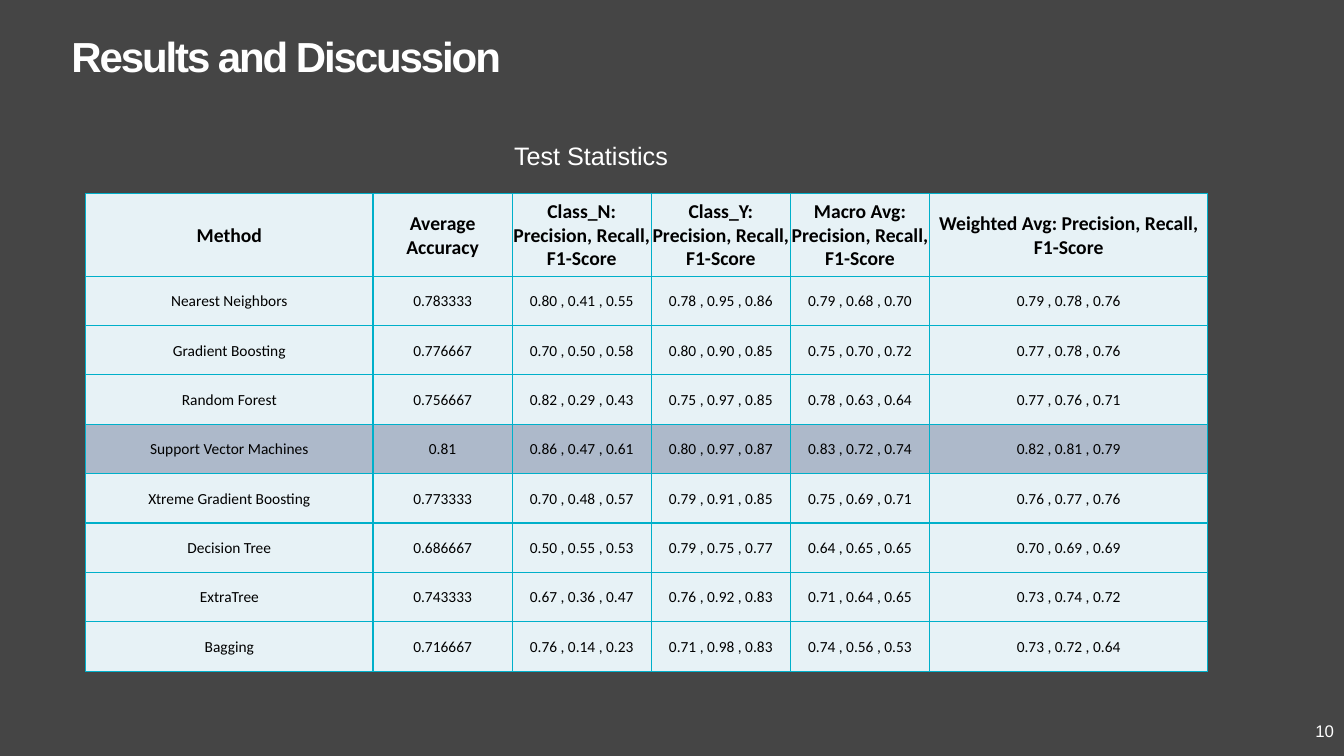
import dataclasses

import pptx
import pptx.dml.color
import pptx.enum.text
import pptx.oxml
import pptx.oxml.ns
import pptx.slide
import pptx.table
import pptx.text.text
import pptx.util

RGBColor = pptx.dml.color.RGBColor
PP_ALIGN = pptx.enum.text.PP_ALIGN
MSO_ANCHOR = pptx.enum.text.MSO_ANCHOR

PX = 9144  # EMU per px, 100 px to the inch
BACKGROUND = RGBColor(0x45, 0x45, 0x45)
WHITE = RGBColor(0xFF, 0xFF, 0xFF)
BLACK = RGBColor(0x00, 0x00, 0x00)
BORDER = RGBColor(0x00, 0xB0, 0xCA)
CELL = RGBColor(0xE7, 0xF2, 0xF6)
HIGHLIGHT = RGBColor(0xAD, 0xB9, 0xCA)

BEST_METHOD = "Support Vector Machines"
COLUMN_WIDTHS = (285, 138, 138, 138, 138, 276)
HEADER_HEIGHT, ROW_HEIGHT = 82, 49
HEADERS = (
    "Method",
    "Average Accuracy",
    "Class_N: Precision, Recall, F1-Score",
    "Class_Y: Precision, Recall, F1-Score",
    "Macro Avg: Precision, Recall, F1-Score",
    "Weighted Avg: Precision, Recall, F1-Score",
)


@dataclasses.dataclass(frozen=True)
class Label:
    text: str
    left: int
    top: int
    width: int
    height: int
    size: int
    bold: bool = False
    spacing: int = 0  # hundredths of a point
    wrap: bool = True
    align: PP_ALIGN = PP_ALIGN.LEFT
    anchor: MSO_ANCHOR = MSO_ANCHOR.TOP


@dataclasses.dataclass(frozen=True)
class Result:
    method: str
    accuracy: str
    class_n: str
    class_y: str
    macro: str
    weighted: str


LABELS = (
    Label("Results and Discussion", 61, 25, 1217, 125, 30, bold=True, spacing=-150),
    Label("10", 1033, 705, 300, 40, 12, align=PP_ALIGN.RIGHT, anchor=MSO_ANCHOR.MIDDLE),
    Label("Test Statistics", 500, 134, 174, 40, 18, wrap=False),
)

RESULTS = (
    Result("Nearest Neighbors", "0.783333", "0.80 , 0.41 , 0.55",
           "0.78 , 0.95 , 0.86", "0.79 , 0.68 , 0.70", "0.79 , 0.78 , 0.76"),
    Result("Gradient Boosting", "0.776667", "0.70 , 0.50 , 0.58",
           "0.80 , 0.90 , 0.85", "0.75 , 0.70 , 0.72", "0.77 , 0.78 , 0.76"),
    Result("Random Forest", "0.756667", "0.82 , 0.29 , 0.43",
           "0.75 , 0.97 , 0.85", "0.78 , 0.63 , 0.64", "0.77 , 0.76 , 0.71"),
    Result(BEST_METHOD, "0.81", "0.86 , 0.47 , 0.61",
           "0.80 , 0.97 , 0.87", "0.83 , 0.72 , 0.74", "0.82 , 0.81 , 0.79"),
    Result("Xtreme Gradient Boosting", "0.773333", "0.70 , 0.48 , 0.57",
           "0.79 , 0.91 , 0.85", "0.75 , 0.69 , 0.71", "0.76 , 0.77 , 0.76"),
    Result("Decision Tree", "0.686667", "0.50 , 0.55 , 0.53",
           "0.79 , 0.75 , 0.77", "0.64 , 0.65 , 0.65", "0.70 , 0.69 , 0.69"),
    Result("ExtraTree", "0.743333", "0.67 , 0.36 , 0.47",
           "0.76 , 0.92 , 0.83", "0.71 , 0.64 , 0.65", "0.73 , 0.74 , 0.72"),
    Result("Bagging", "0.716667", "0.76 , 0.14 , 0.23",
           "0.71 , 0.98 , 0.83", "0.74 , 0.56 , 0.53", "0.73 , 0.72 , 0.64"),
)


def format_paragraph(p: pptx.text.text._Paragraph, align: PP_ALIGN, font: str,
                     size: int, color: RGBColor, bold: bool) -> None:
    p.alignment = align
    for r in p.runs:
        r.font.name = font
        r.font.size = pptx.util.Pt(size)
        r.font.color.rgb = color
        r.font.bold = bold


def add_label(s: pptx.slide.Slide, label: Label) -> None:
    sp = s.shapes.add_textbox(label.left * PX, label.top * PX,
                              label.width * PX, label.height * PX)
    tf = sp.text_frame
    tf.word_wrap = label.wrap
    tf.vertical_anchor = label.anchor
    tf.text = label.text
    p = tf.paragraphs[0]
    format_paragraph(p, label.align, "Arial", label.size, WHITE, label.bold)
    if label.spacing:
        p.runs[0].font._element.set("spc", str(label.spacing))


def add_borders(cell: pptx.table._Cell) -> None:
    """Line all four sides; must precede the fill, which follows lines in tcPr."""
    tc_pr = cell._tc.get_or_add_tcPr()
    for side in ("lnL", "lnR", "lnT", "lnB"):
        tc_pr.append(pptx.oxml.parse_xml(
            f'<a:{side} {pptx.oxml.ns.nsdecls("a")} w="{pptx.util.Pt(1)}">'
            f'<a:solidFill><a:srgbClr val="{BORDER}"/></a:solidFill></a:{side}>'))


def fill_cell(cell: pptx.table._Cell, text: str, size: int, bold: bool,
              color: RGBColor) -> None:
    add_borders(cell)
    cell.fill.solid()
    cell.fill.fore_color.rgb = color
    cell.margin_left = cell.margin_right = cell.margin_top = PX
    cell.margin_bottom = 0
    cell.vertical_anchor = MSO_ANCHOR.MIDDLE
    cell.text_frame.text = text
    format_paragraph(cell.text_frame.paragraphs[0], PP_ALIGN.CENTER, "Calibri",
                     size, BLACK, bold)


def add_results_table(s: pptx.slide.Slide, left: int, top: int) -> None:
    rows = [HEADERS, *map(dataclasses.astuple, RESULTS)]
    height = HEADER_HEIGHT + ROW_HEIGHT * len(RESULTS)
    table = s.shapes.add_table(len(rows), len(HEADERS), left * PX, top * PX,
                               sum(COLUMN_WIDTHS) * PX, height * PX).table
    table.first_row = table.horz_banding = False
    for column, width in zip(table.columns, COLUMN_WIDTHS):
        column.width = width * PX
    for i, values in enumerate(rows):
        header = i == 0
        table.rows[i].height = (HEADER_HEIGHT if header else ROW_HEIGHT) * PX
        color = HIGHLIGHT if values[0] == BEST_METHOD else CELL
        for j, text in enumerate(values):
            fill_cell(table.cell(i, j), text, 14 if header else 11, header, color)


def main() -> None:
    prs = pptx.Presentation()
    prs.slide_width, prs.slide_height = 1333 * PX, 750 * PX
    s = prs.slides.add_slide(prs.slide_layouts[6])
    s.background.fill.solid()
    s.background.fill.fore_color.rgb = BACKGROUND
    add_results_table(s, 85, 192)
    for label in LABELS:
        add_label(s, label)
    prs.save("out.pptx")


if __name__ == "__main__":
    main()
